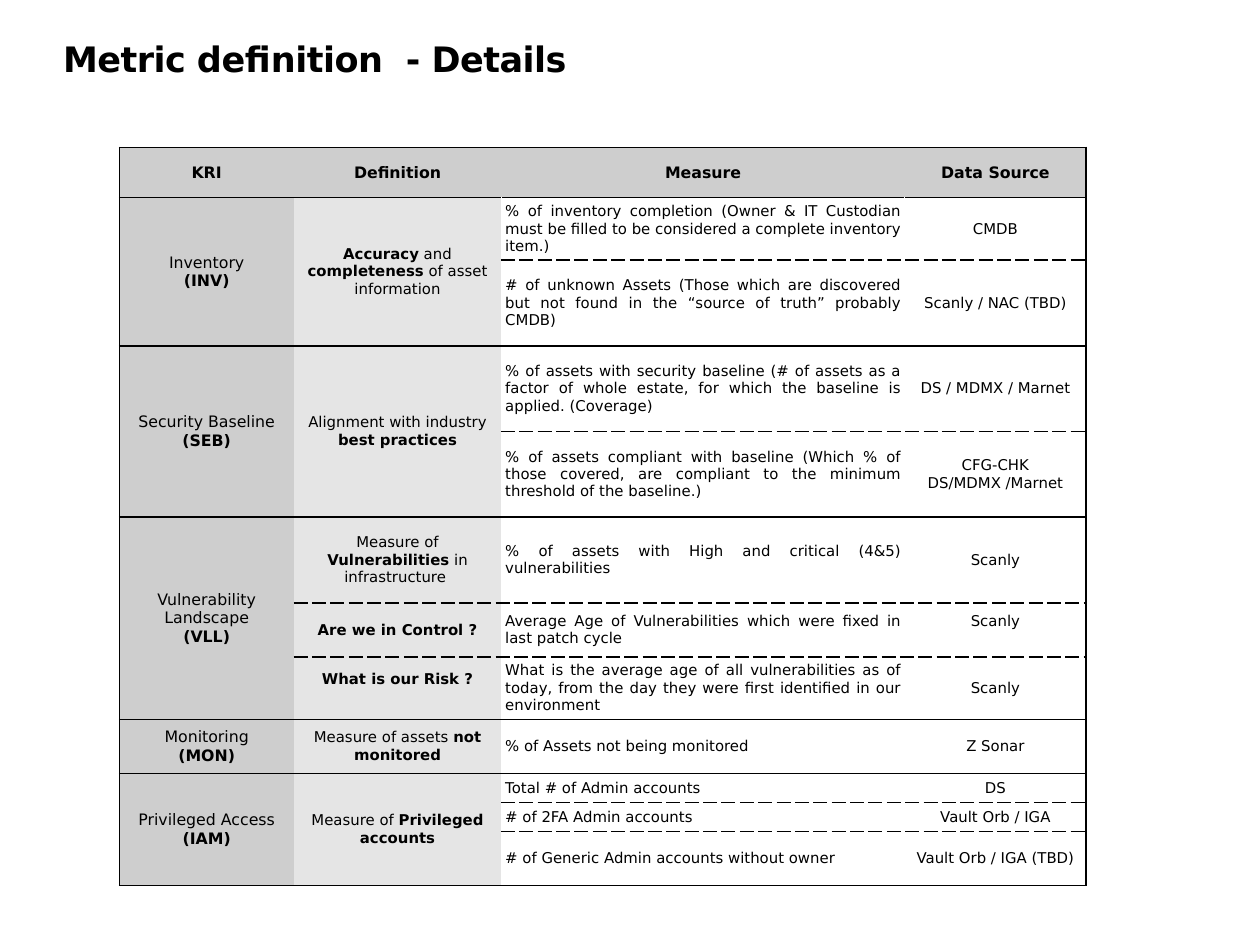
"""Build the metric definition slide with its table of risk indicators."""
from lxml.etree import SubElement
from pptx import Presentation
from pptx.dml.color import RGBColor
from pptx.enum.text import MSO_ANCHOR, PP_ALIGN
from pptx.oxml.ns import qn
from pptx.util import Inches, Pt

BLACK = RGBColor(0x00, 0x00, 0x00)
WHITE = RGBColor(0xFF, 0xFF, 0xFF)
DARK_GREY = RGBColor(0xCE, 0xCE, 0xCE)
LIGHT_GREY = RGBColor(0xE5, 0xE5, 0xE5)

SOLID = (BLACK, 1, "solid")
THIN = (BLACK, 0.75, "solid")
DASHED = (BLACK, 1, "sysDash")
GAP = (WHITE, 0.75, "solid")

HEADERS = ["KRI", "Definition", "Measure", "Data Source"]
COLUMN_WIDTHS = [1.38, 1.65, 3.2, 1.44]
COLUMN_FILLS = [DARK_GREY, LIGHT_GREY, WHITE, WHITE]
ROW_HEIGHTS = [0.4, 0.49, 0.68, 0.68, 0.68, 0.68, 0.43, 0.49, 0.43, 0.23, 0.23, 0.43]
RAISED_CELLS = [(6, 3), (7, 1)]

INDICATORS = [
    ("Inventory\n**(INV)**",
     ["**Accuracy** and **completeness** of asset information"],
     [("% of inventory completion (Owner & IT Custodian must be filled to be "
       "considered a complete inventory item.)", "CMDB"),
      ("# of unknown Assets (Those which are discovered but not found in the "
       "“source of truth” probably CMDB)", "Scanly / NAC (TBD)")]),
    ("Security Baseline\n**(SEB)**",
     ["Alignment with industry **best practices**"],
     [("% of assets with security baseline (# of assets as a factor of whole "
       "estate, for which the baseline is applied. (Coverage)", "DS / MDMX / Marnet"),
      ("% of assets compliant with baseline (Which % of those covered, are "
       "compliant to the minimum threshold of the baseline.)",
       "CFG-CHK\nDS/MDMX /Marnet")]),
    ("Vulnerability Landscape\n**(VLL)**",
     ["Measure of **Vulnerabilities** in infrastructure ",
      "**Are we in Control ?**",
      "**What is our Risk ?**"],
     [("% of assets with High and critical (4&5) vulnerabilities ", "Scanly"),
      ("Average Age of Vulnerabilities which were fixed in last patch cycle ", "Scanly"),
      ("What is the average age of all vulnerabilities as of today, from the day "
       "they were first identified in our environment ", "Scanly")]),
    ("Monitoring\n**(MON)**",
     ["Measure of assets **not monitored**"],
     [("% of Assets not being monitored", "Z Sonar")]),
    ("Privileged Access\n**(IAM)**",
     ["Measure of **Privileged accounts**"],
     [("Total # of Admin accounts", "DS"),
      ("# of 2FA Admin accounts ", "Vault Orb / IGA"),
      ("# of Generic Admin accounts without owner", "Vault Orb / IGA (TBD)")]),
]


def write_text(frame, text, size, align=PP_ALIGN.CENTER, bold=False, spacing=None):
    """Write lines as paragraphs, with ** switching bold on and off."""
    for index, line in enumerate(text.split("\n")):
        paragraph = frame.add_paragraph() if index else frame.paragraphs[0]
        paragraph.alignment = align
        for position, part in enumerate(line.split("**")):
            if not part:
                continue
            run = paragraph.add_run()
            run.text = part
            run.font.name = SlideBuilder.font_name
            run.font.size = Pt(size)
            run.font.bold = bold or position % 2 == 1
            run.font.color.rgb = BLACK
            if spacing is not None:
                run.font._element.set("spc", str(round(spacing * 100)))


class SlideBuilder:
    """Hold the style and the current slide."""

    font_name = "DejaVu Sans"
    title_size = 20
    heading_size = 9
    body_size = 8.5

    def __init__(self, presentation):
        self.slide = presentation.slides.add_slide(presentation.slide_layouts[5])

    def add_title(self, text):
        """Place and format the title."""
        title = self.slide.shapes.title
        title.left, title.top = Inches(0.5), Inches(0.3)
        title.width, title.height = Inches(8), Inches(0.8)
        frame = title.text_frame
        frame.margin_left = frame.margin_right = 0
        frame.margin_top = frame.margin_bottom = 0
        frame.vertical_anchor = MSO_ANCHOR.TOP
        write_text(frame, text, self.title_size, PP_ALIGN.LEFT, bold=True, spacing=-0.3)

    def add_table(self, left, top):
        """Add an empty table with its column widths and row heights."""
        table = self.slide.shapes.add_table(
            len(ROW_HEIGHTS), len(COLUMN_WIDTHS), Inches(left), Inches(top),
            Inches(sum(COLUMN_WIDTHS)), Inches(sum(ROW_HEIGHTS))).table
        table.first_row = table.horz_banding = False
        for column, width in zip(table.columns, COLUMN_WIDTHS):
            column.width = Inches(width)
        for row, height in zip(table.rows, ROW_HEIGHTS):
            row.height = Inches(height)
        return table

    def add_border(self, cell, side, border):
        """Draw one cell side, or clear it when border is None."""
        line = SubElement(cell._tc.get_or_add_tcPr(), qn(f"a:ln{side}"))
        if border is None:
            SubElement(line, qn("a:noFill"))
            return
        color, width, dash = border
        line.set("w", str(Pt(width)))
        fill = SubElement(line, qn("a:solidFill"))
        SubElement(fill, qn("a:srgbClr")).set("val", str(color))
        SubElement(line, qn("a:prstDash")).set("val", dash)

    def style_cell(self, table, row, column, fill, top, bottom):
        """Set the borders, fill and margins of a cell."""
        cell = table.cell(row, column)
        inner = GAP if row and column else None
        last = column == len(COLUMN_WIDTHS) - 1
        left = SOLID if column == 0 else inner if column > 1 else None
        right = SOLID if last else inner
        for side, border in zip("LRTB", (left, right, top, bottom)):
            self.add_border(cell, side, border)
        cell.fill.solid()
        cell.fill.fore_color.rgb = fill
        cell.vertical_anchor = MSO_ANCHOR.MIDDLE
        cell.margin_left = cell.margin_right = Inches(0.03)
        cell.margin_top = Inches(0.04)
        cell.margin_bottom = Inches(0.18 if (row, column) in RAISED_CELLS else 0.04)
        return cell

    def add_header(self, table):
        """Fill the header row."""
        for column, text in enumerate(HEADERS):
            cell = self.style_cell(table, 0, column, DARK_GREY, SOLID, THIN)
            write_text(cell.text_frame, text, self.heading_size, bold=True)

    def add_column(self, table, start, end, column, texts):
        """Fill one column of an indicator, merged when it has a single text."""
        merged = len(texts) == 1
        for row in range(start, end):
            inside = None if merged else DASHED
            top = (THIN if start == 1 else SOLID) if row == start else inside
            bottom = SOLID if row == end - 1 or merged else inside
            self.style_cell(table, row, column, COLUMN_FILLS[column], top, bottom)
        if merged and end - start > 1:
            table.cell(start, column).merge(table.cell(end - 1, column))
        size = self.heading_size if column == 0 else self.body_size
        align = PP_ALIGN.JUSTIFY if column == 2 else PP_ALIGN.CENTER
        for row, text in enumerate(texts, start):
            write_text(table.cell(row, column).text_frame, text, size, align)


def main():
    """Build and save the presentation."""
    presentation = Presentation()
    presentation.slide_width, presentation.slide_height = Inches(10), Inches(7.5)
    builder = SlideBuilder(presentation)
    builder.add_title("Metric definition  - Details")
    table = builder.add_table(0.95, 1.17)
    builder.add_header(table)
    start = 1
    for name, definitions, rows in INDICATORS:
        end = start + len(rows)
        measures, sources = zip(*rows)
        for column, texts in enumerate(([name], definitions, measures, sources)):
            builder.add_column(table, start, end, column, texts)
        start = end
    presentation.save("out.pptx")


if __name__ == "__main__":
    main()
